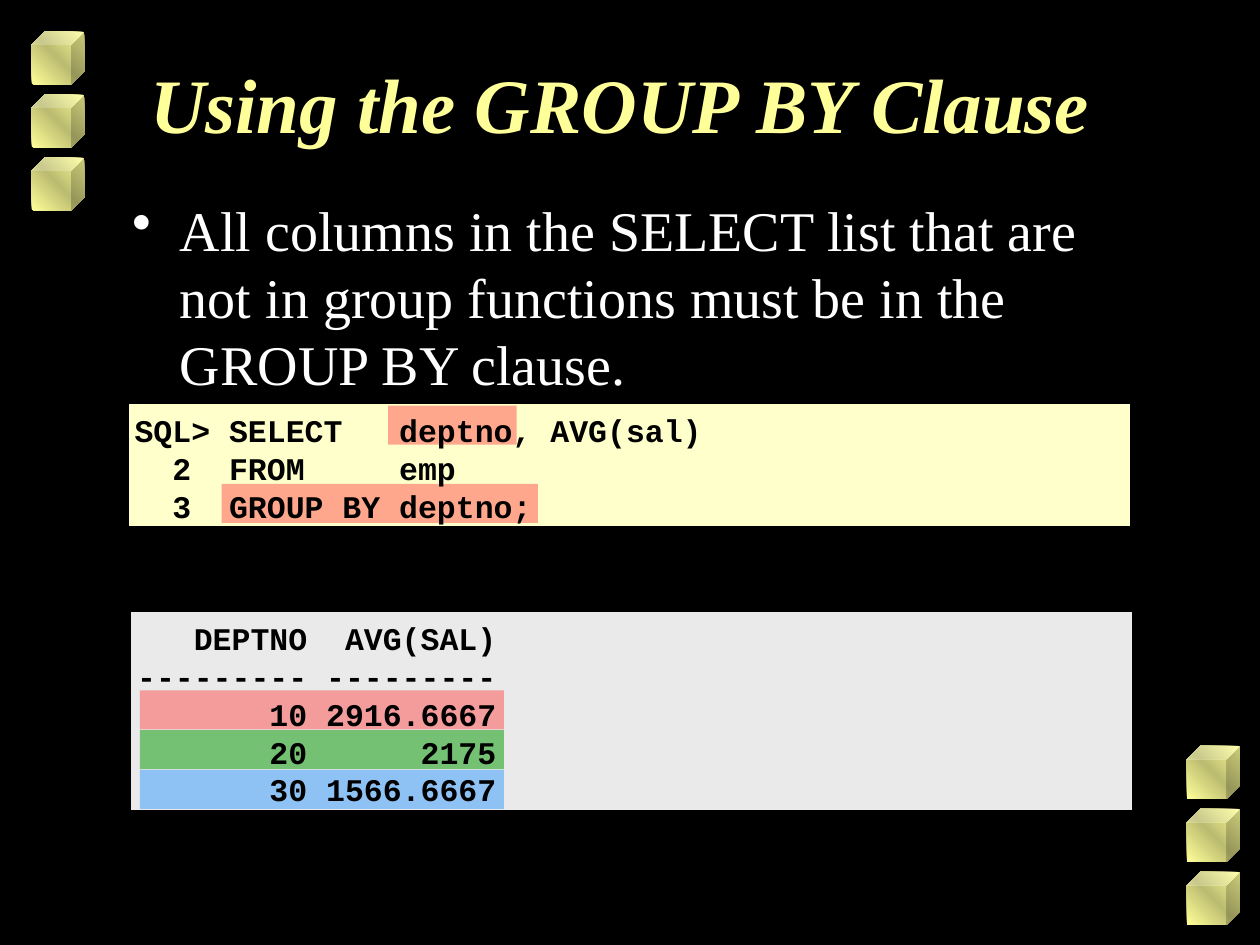
import pptx
import pptx.dml.color
import pptx.enum.shapes
import pptx.enum.text
import pptx.oxml
import pptx.oxml.ns
import pptx.util
from dataclasses import dataclass

Inches = pptx.util.Inches
Pt = pptx.util.Pt
Shapes = pptx.enum.shapes.MSO_SHAPE
Anchor = pptx.enum.text.MSO_ANCHOR
Align = pptx.enum.text.PP_ALIGN
NS = pptx.oxml.ns.nsdecls("a")


@dataclass(frozen=True)
class Theme:
    black: str = "000000"
    white: str = "FFFFFF"
    gold: str = "FFFF99"
    dark_gold: str = "BCBC71"
    cream: str = "FFFFCC"
    gray: str = "EAEAEA"
    red: str = "FF5050"
    green: str = "009900"
    blue: str = "3399FF"
    serif: str = "Times New Roman"
    mono: str = "Courier New"
    title_size: int = 44
    body_size: int = 32
    code_size: int = 18
    leading: float = 1.2


class SlideBuilder:
    def __init__(self, slide, theme):
        self.slide = slide
        self.theme = theme
        slide.background.fill.solid()
        slide.background.fill.fore_color.rgb = self.color(theme.black)

    def color(self, value):
        return pptx.dml.color.RGBColor.from_string(value)

    def shape(self, kind, box, fill):
        item = self.slide.shapes.add_shape(kind, *map(Inches, box))
        item.shadow.inherit = False
        item.fill.solid()
        item.fill.fore_color.rgb = self.color(fill)
        item.line.fill.background()
        return item

    def cube(self, left, top):
        cube = self.shape(Shapes.CUBE, (left, top, 0.42, 0.42), self.theme.gold)
        stops = ((0, self.theme.gold), (50, self.theme.dark_gold), (100, self.theme.gold))
        stop_xml = "".join(
            f'<a:gs pos="{position * 1000}"><a:srgbClr val="{value}"/></a:gs>'
            for position, value in stops)
        gradient = pptx.oxml.parse_xml(
            f'<a:gradFill {NS} rotWithShape="1"><a:gsLst>{stop_xml}</a:gsLst>'
            f'<a:lin ang="{315 * 60000}" scaled="1"/></a:gradFill>')
        properties = cube.element.spPr
        properties.replace(properties.find(pptx.oxml.ns.qn("a:solidFill")), gradient)

    def panel(self, box, fill):
        panel = self.shape(Shapes.RECTANGLE, box, fill)
        panel.line.color.rgb = self.color(self.theme.black)
        panel.line.width = Pt(2)

    def highlight(self, box, fill):
        mark = self.shape(Shapes.RECTANGLE, box, fill)
        mark.element.spPr.find(".//" + pptx.oxml.ns.qn("a:srgbClr")).append(
            pptx.oxml.parse_xml(f'<a:alpha {NS} val="50000"/>'))

    def text(self, box, lines, font, size, color, bold=False, italic=False,
             align=Align.LEFT, anchor=Anchor.TOP):
        frame = self.slide.shapes.add_textbox(*map(Inches, box)).text_frame
        frame.word_wrap = True
        frame.vertical_anchor = anchor
        frame.text = "\n".join(lines)
        for paragraph in frame.paragraphs:
            paragraph.alignment = align
            paragraph.line_spacing = Pt(size * self.theme.leading)
            for run in paragraph.runs:
                run.font.name = font
                run.font.size = Pt(size)
                run.font.bold = bold
                run.font.italic = italic
                run.font.color.rgb = self.color(color)
        return frame

    def title(self, box, wording):
        frame = self.text(box, [wording], self.theme.serif, self.theme.title_size,
                          self.theme.gold, bold=True, italic=True, align=Align.CENTER)
        frame.margin_top = Inches(0.12)

    def bullet(self, box, wording):
        frame = self.text(box, [wording], self.theme.serif, self.theme.body_size,
                          self.theme.white)
        properties = frame.paragraphs[0]._p.get_or_add_pPr()
        properties.set("marL", str(Inches(0.38)))
        properties.set("indent", str(Inches(-0.38)))
        properties.append(pptx.oxml.parse_xml(f'<a:buChar {NS} char="\u2022"/>'))

    def code(self, box, lines):
        self.text(box, lines, self.theme.mono, self.theme.code_size,
                  self.theme.black, bold=True, anchor=Anchor.MIDDLE)


theme = Theme()
deck = pptx.Presentation()
deck.slide_width = Inches(10)
deck.slide_height = Inches(7.5)
page = SlideBuilder(deck.slides.add_slide(deck.slide_layouts[6]), theme)

for left, first_top in ((0.25, 0.25), (9.42, 5.92)):
    for step in range(3):
        page.cube(left, first_top + step * 0.5)

page.panel((1.01, 3.19, 7.97, 1), theme.cream)
page.panel((1.03, 4.84, 7.97, 1.6), theme.gray)

page.title((0.75, 0.33, 8.5, 1.25), "Using the GROUP BY Clause ")
page.bullet((0.95, 1.5, 8.29, 1.7),
            "All columns in the SELECT list that are not in group functions "
            "must be in the GROUP BY clause.")

page.highlight((1.76, 3.84, 2.51, 0.31), theme.red)
for row, department_color in enumerate((theme.red, theme.green, theme.blue)):
    page.highlight((1.11, 5.48 + row * 0.315, 2.89, 0.31), department_color)
page.highlight((3.08, 3.22, 1.02, 0.31), theme.red)

page.code((0.97, 3.2, 8, 1.03), [
    "SQL> SELECT   deptno, AVG(sal)",
    "  2  FROM     emp",
    "  3  GROUP BY deptno;",
])
page.code((0.99, 4.85, 8, 1.63), [
    "   DEPTNO  AVG(SAL)",
    "--------- ---------",
    "       10 2916.6667",
    "       20      2175",
    "       30 1566.6667",
])

deck.save("out.pptx")
